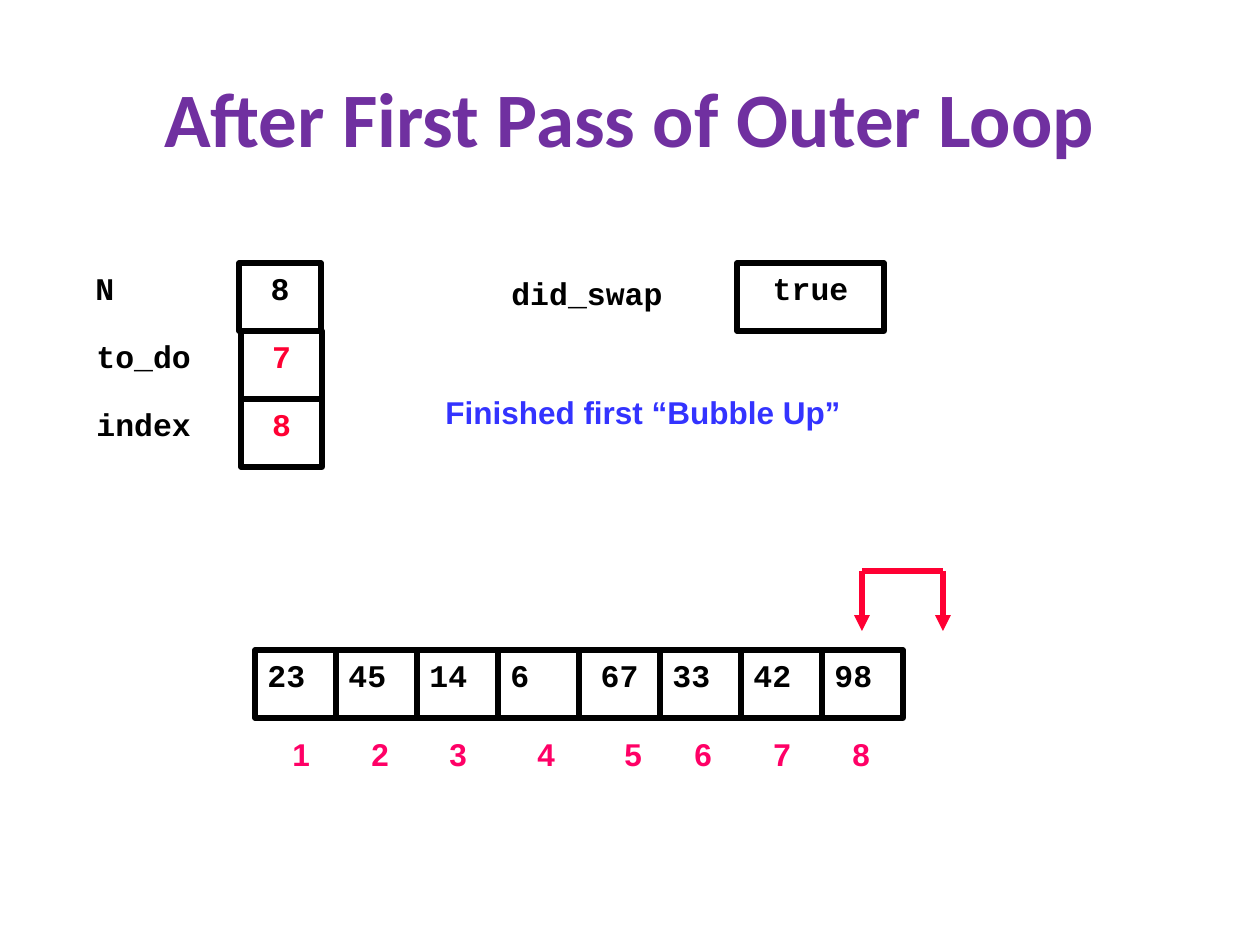
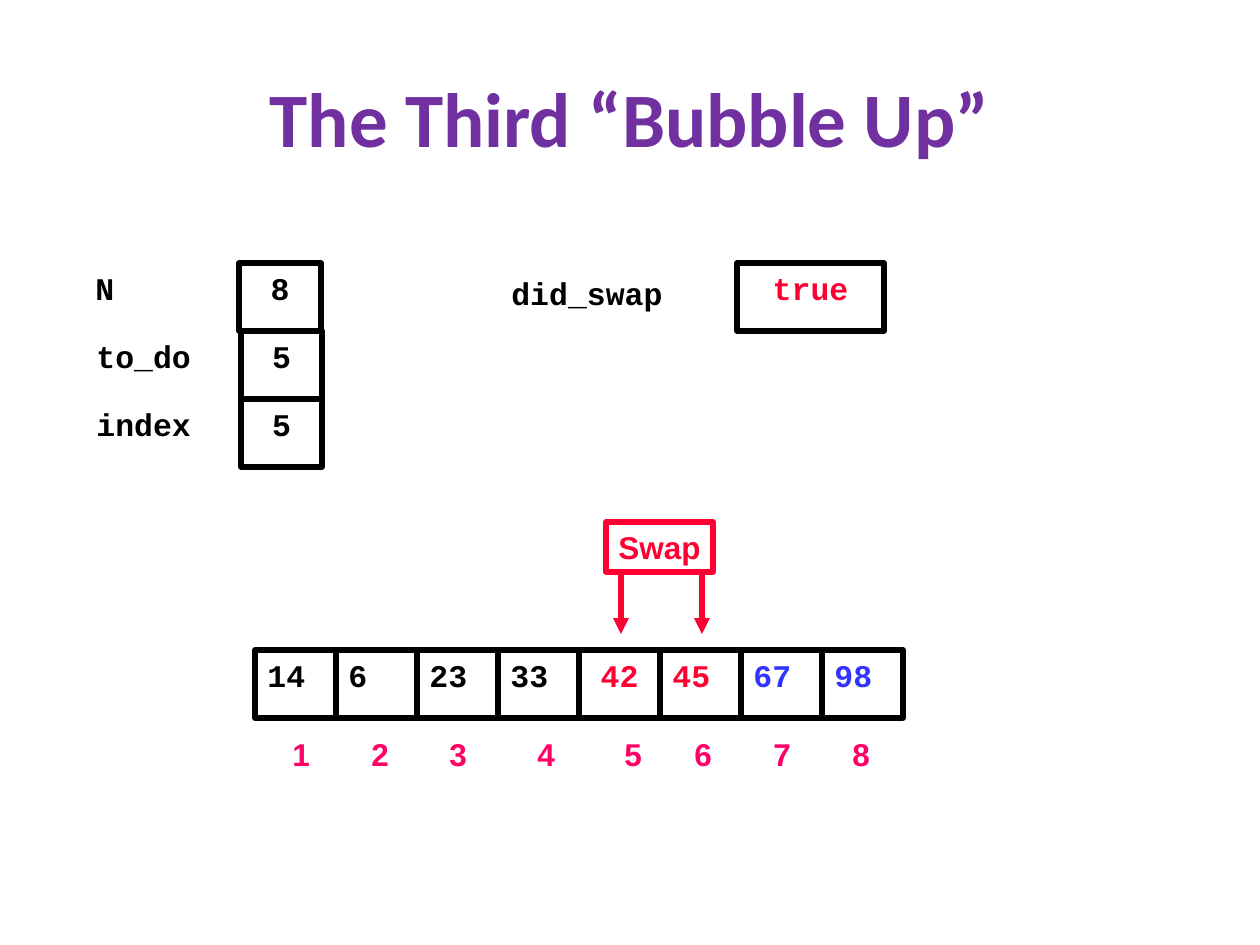
import pptx
import pptx.util
import pptx.dml.color
import pptx.enum.shapes
import pptx.enum.text
import pptx.oxml.ns
import lxml.etree

BLACK, RED, BLUE, PURPLE, PINK = "000000", "FF0033", "3333FF", "7030A0", "FF0066"
CODE, SANS = "Courier New", "Arial"
LEFT, CENTER = pptx.enum.text.PP_ALIGN.LEFT, pptx.enum.text.PP_ALIGN.CENTER

SLIDES = [
    {
        "title": "After First Pass of Outer Loop",
        "variables": [("N", "8", BLACK), ("to_do", "7", RED), ("index", "8", RED)],
        "did_swap": ("true", BLACK),
        "array": [("23", BLACK), ("45", BLACK), ("14", BLACK), ("6", BLACK),
                  ("67", BLACK), ("33", BLACK), ("42", BLACK), ("98", BLACK)],
        "bracket": (862, 571, 631),
        "note": "Finished first “Bubble Up”",
    },
    {
        "title": "The Third “Bubble Up”",
        "variables": [("N", "8", BLACK), ("to_do", "5", BLACK), ("index", "5", BLACK)],
        "did_swap": ("true", RED),
        "array": [("14", BLACK), ("6", BLACK), ("23", BLACK), ("33", BLACK),
                  ("42", RED), ("45", RED), ("67", BLUE), ("98", BLUE)],
        "bracket": (621, 572, 634),
        "swap": "Swap",
    },
]

TITLE = (63, 38, 1134, 158)
CELL_W, CELL_H = 81, 68
ARRAY_X, ARRAY_Y = 255, 650
CENTERED_CELL = 4
VARIABLE_Y = 263
VARIABLE_COLUMNS = [(83, 239, 82), (84, 241, 81), (84, 241, 81)]
LABEL_W, LABEL_H = 120, 50
DID_SWAP_LABEL = (499, 268, 252, LABEL_H)
DID_SWAP_BOX = (737, VARIABLE_Y, 147, CELL_H)
NOTE = (433, 387, 421, LABEL_H)
SWAP = (606, 522, 107, LABEL_H)
INDEX_ROW = (280, 729, 640, LABEL_H)
INDEX_TABS = [79, 157, 245, 332, 402, 481, 560]


def px(n):
    return pptx.util.Emu(round(n * 914400 / 126))


def rgb(value):
    return pptx.dml.color.RGBColor.from_string(value)


def write(tf, text, color, font=CODE, size=18, align=LEFT, tabs=()):
    p = tf.paragraphs[0]
    p.alignment = align
    if tabs:
        tab_list = lxml.etree.SubElement(p._p.get_or_add_pPr(), pptx.oxml.ns.qn("a:tabLst"))
        for stop in tabs:
            lxml.etree.SubElement(tab_list, pptx.oxml.ns.qn("a:tab"), pos=str(px(stop)), algn="l")
    r = p.add_run()
    r.text = text
    for name, value in {"name": font, "size": pptx.util.Pt(size), "bold": True}.items():
        setattr(r.font, name, value)
    r.font.color.rgb = rgb(color)


def set_frame(tf, wrap, auto_size):
    values = {"word_wrap": wrap, "auto_size": auto_size,
              "vertical_anchor": pptx.enum.text.MSO_ANCHOR.TOP}
    for name, value in values.items():
        setattr(tf, name, value)


def add_label(s, box, text, color=BLACK, font=CODE, tabs=()):
    sp = s.shapes.add_textbox(*map(px, box))
    set_frame(sp.text_frame, bool(tabs), pptx.enum.text.MSO_AUTO_SIZE.SHAPE_TO_FIT_TEXT)
    write(sp.text_frame, text, color, font, tabs=tabs)


def add_box(s, box, text, color, align=CENTER, font=CODE, line=BLACK):
    sp = s.shapes.add_shape(pptx.enum.shapes.MSO_SHAPE.RECTANGLE, *map(px, box))
    sp.shadow.inherit = False
    sp.fill.background()
    sp.line.color.rgb = rgb(line)
    sp.line.width = pptx.util.Pt(3)
    set_frame(sp.text_frame, False, pptx.enum.text.MSO_AUTO_SIZE.NONE)
    write(sp.text_frame, text, color, font, align=align)


def add_line(s, x1, y1, x2, y2, arrow=False):
    sp = s.shapes.add_connector(pptx.enum.shapes.MSO_CONNECTOR.STRAIGHT, *map(px, (x1, y1, x2, y2)))
    sp.line.color.rgb = rgb(RED)
    sp.line.width = pptx.util.Pt(3)
    if arrow:
        lxml.etree.SubElement(sp.line._get_or_add_ln(), pptx.oxml.ns.qn("a:tailEnd"), type="triangle")
    lxml.etree.SubElement(sp._element.spPr, pptx.oxml.ns.qn("a:effectLst"))


def add_title(s, text):
    sp = s.shapes.title
    for name, value in zip(("left", "top", "width", "height"), TITLE):
        setattr(sp, name, px(value))
    sp.text_frame.vertical_anchor = pptx.enum.text.MSO_ANCHOR.MIDDLE
    write(sp.text_frame, text, PURPLE, "Calibri", 44, CENTER)


def add_variables(s, variables, did_swap):
    for i, ((name, value, color), (label_x, box_x, w)) in enumerate(zip(variables, VARIABLE_COLUMNS)):
        y = VARIABLE_Y + i * CELL_H
        add_label(s, (label_x, y, LABEL_W, LABEL_H), name)
        add_box(s, (box_x, y, w, CELL_H), value, color)
    add_label(s, DID_SWAP_LABEL, "did_swap")
    add_box(s, DID_SWAP_BOX, *did_swap)


def add_array(s, array):
    for i, (value, color) in enumerate(array):
        align = CENTER if i == CENTERED_CELL else LEFT
        add_box(s, (ARRAY_X + i * CELL_W, ARRAY_Y, CELL_W, CELL_H), value, color, align)
    indexes = "\t".join(str(i + 1) for i in range(len(array)))
    add_label(s, INDEX_ROW, indexes, PINK, SANS, INDEX_TABS)


def add_bracket(s, left, top, bottom):
    right = left + CELL_W
    for x in (left, right):
        add_line(s, x, top, x, bottom, arrow=True)
    add_line(s, left, top, right, top)


def main():
    prs = pptx.Presentation()
    prs.slide_width, prs.slide_height = px(1260), px(945)
    for content in SLIDES:
        s = prs.slides.add_slide(prs.slide_layouts[5])
        add_title(s, content["title"])
        add_array(s, content["array"])
        add_variables(s, content["variables"], content["did_swap"])
        add_bracket(s, *content["bracket"])
        if "note" in content:
            add_label(s, NOTE, content["note"], BLUE, SANS)
        if "swap" in content:
            add_box(s, SWAP, content["swap"], RED, LEFT, SANS, RED)
    prs.save("out.pptx")


if __name__ == "__main__":
    main()
